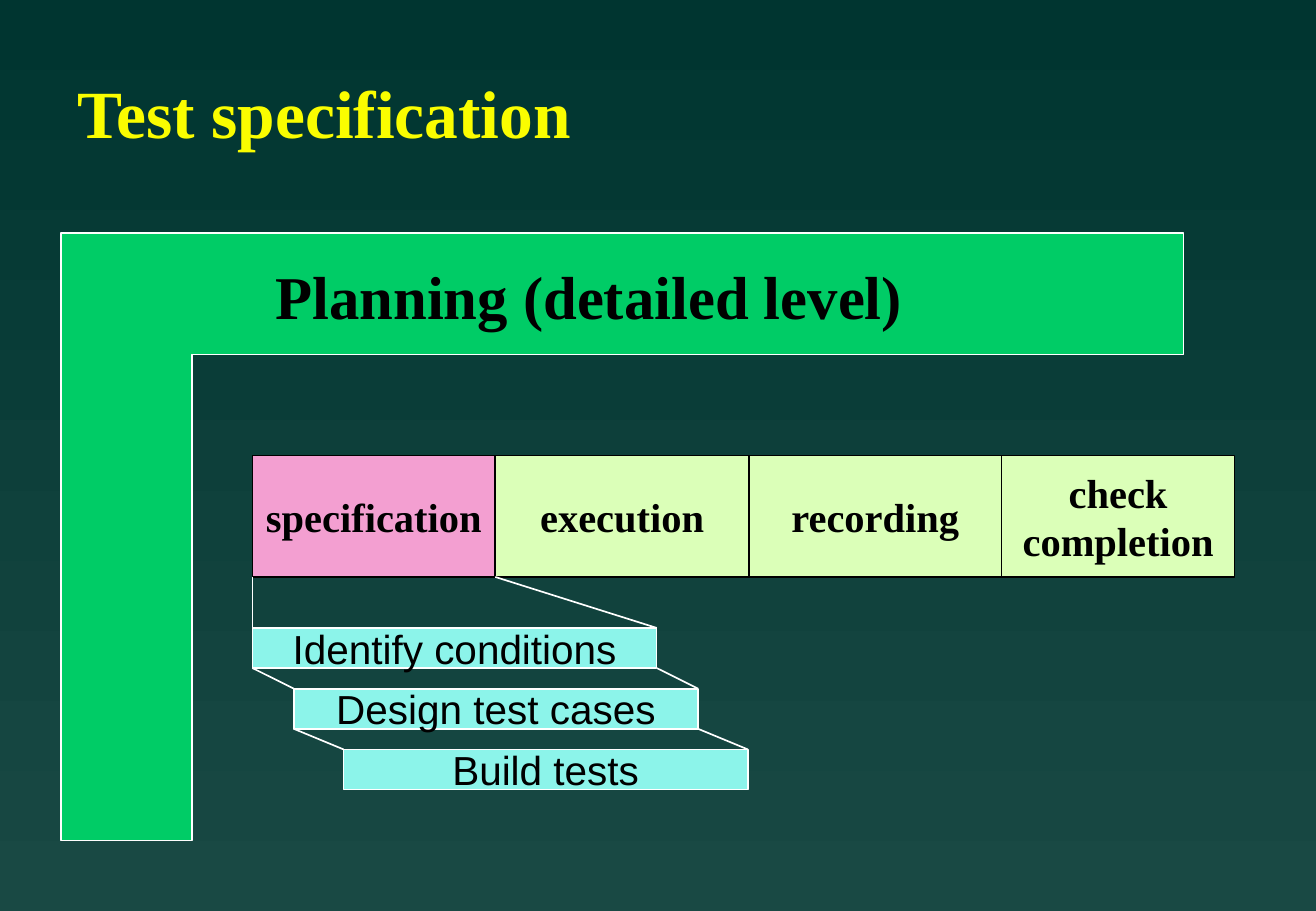
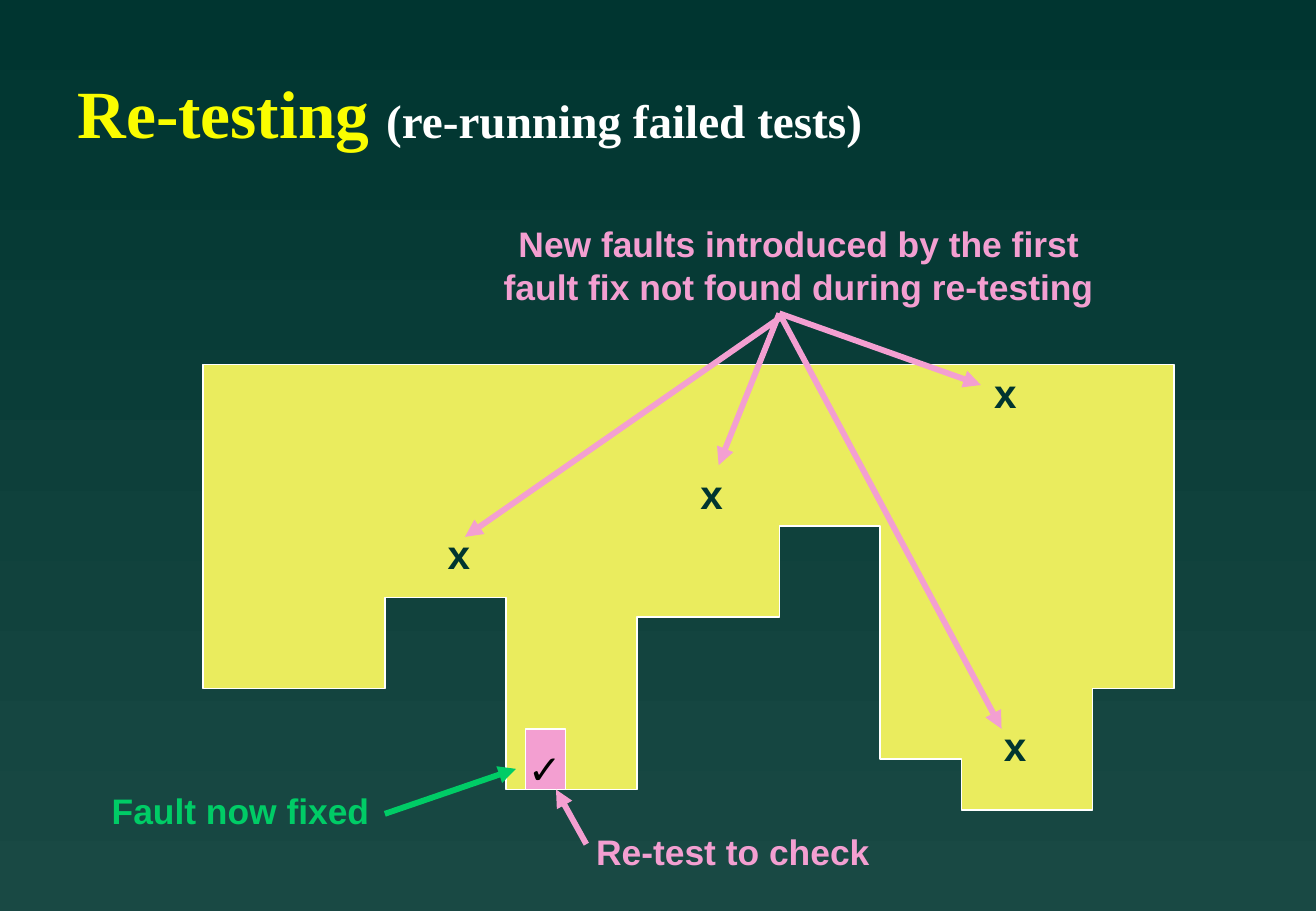
"""Build two slides on test specification and re-testing."""
from lxml import etree
from pptx import Presentation
from pptx.dml.color import RGBColor
from pptx.enum import shapes, text
from pptx.oxml import ns
from pptx.util import Inches, Pt

DARK = RGBColor(0x00, 0x35, 0x30)
TEAL = RGBColor(0x19, 0x49, 0x44)
TITLE = RGBColor(0xFA, 0xFD, 0x00)
WHITE = RGBColor(0xFF, 0xFF, 0xFF)
BLACK = RGBColor(0x00, 0x00, 0x00)
GREEN = RGBColor(0x00, 0xCC, 0x66)
PINK = RGBColor(0xF3, 0x9F, 0xD1)
LIME = RGBColor(0xDB, 0xFF, 0xB8)
AQUA = RGBColor(0x8C, 0xF4, 0xEA)
YELLOW = RGBColor(0xEA, 0xEC, 0x5E)
SERIF = "Times New Roman"
SANS = "Arial"
CENTER = text.PP_ALIGN.CENTER
MIDDLE = text.MSO_ANCHOR.MIDDLE


def set_background(prs):
    """Give the slide master its vertical gradient."""
    fill = prs.slide_master.background.fill
    fill.gradient()
    fill.gradient_angle = 270
    for stop, color in zip(fill.gradient_stops, (DARK, TEAL)):
        stop.color.rgb = color


def add_run(p, words, size, color, font=SANS, bold=True):
    """Append one formatted run to a paragraph."""
    r = p.add_run()
    r.text = words
    r.font.size = Pt(size)
    r.font.name = font
    r.font.bold = bold
    r.font.color.rgb = color


def write_lines(tf, lines, size, color, font=SANS, bold=True, align=None):
    """Write each line as a paragraph of a text frame."""
    for i, line in enumerate(lines):
        p = tf.add_paragraph() if i else tf.paragraphs[0]
        p.alignment = align
        add_run(p, line, size, color, font, bold)


def add_title(s, title, note=None):
    """Add the slide title with an optional smaller note."""
    tf = s.shapes.add_textbox(Inches(0.54), Inches(0.58), Inches(9.21), Inches(0.67)).text_frame
    tf.word_wrap = True
    tf.vertical_anchor = MIDDLE
    p = tf.paragraphs[0]
    add_run(p, title, 40, TITLE, SERIF)
    if note:
        add_run(p, note, 28, WHITE, SERIF)


def add_label(s, box, lines, size, color, font=SANS, align=None, inset=True):
    """Add a text box wide enough for its lines."""
    tf = s.shapes.add_textbox(*map(Inches, box)).text_frame
    tf.word_wrap = True
    if not inset:
        tf.margin_left = tf.margin_right = tf.margin_top = tf.margin_bottom = 0
    write_lines(tf, lines, size, color, font, align=align)


def style_shape(sp, fill, line):
    """Set a flat fill and a thin outline."""
    sp.shadow.inherit = False
    sp.fill.solid()
    sp.fill.fore_color.rgb = fill
    sp.line.color.rgb = line
    sp.line.width = Pt(1)


def add_box(s, box, fill, line, lines=(), font=SANS, bold=False):
    """Add a rectangle with centred text."""
    sp = s.shapes.add_shape(shapes.MSO_SHAPE.RECTANGLE, *map(Inches, box))
    style_shape(sp, fill, line)
    tf = sp.text_frame
    tf.word_wrap = False
    tf.vertical_anchor = MIDDLE
    write_lines(tf, lines, 24, BLACK, font, bold, CENTER)


def add_outline(s, points, fill):
    """Add a closed polygon from points in inches."""
    corners = [(Inches(x), Inches(y)) for x, y in points]
    builder = s.shapes.build_freeform(*corners[0])
    builder.add_line_segments(corners[1:], close=True)
    style_shape(builder.convert_to_shape(), fill, WHITE)


def add_line(s, start, end, color=WHITE, width=1, arrow=False):
    """Add a straight line, with an arrowhead at its end if asked."""
    ends = map(Inches, (*start, *end))
    sp = s.shapes.add_connector(shapes.MSO_CONNECTOR.STRAIGHT, *ends)
    sp.line.color.rgb = color
    sp.line.width = Pt(width)
    if arrow:
        etree.SubElement(sp.line._get_or_add_ln(), ns.qn("a:tailEnd"), type="triangle")
    etree.SubElement(sp._element.spPr, ns.qn("a:effectLst"))


def add_arrow(s, start, end, color):
    """Add a thick arrow."""
    add_line(s, start, end, color, 3.5, True)


def build_specification(s):
    """Draw the test process and the steps of specification."""
    add_title(s, "Test specification")

    left = 2.08
    phases = [
        (2, PINK, ["specification"]),
        (2.09, LIME, ["execution"]),
        (2.08, LIME, ["recording"]),
        (1.92, LIME, ["check", "completion"]),
    ]
    for width, fill, lines in phases:
        add_box(s, (left, 3.75, width, 1), fill, BLACK, lines, SERIF, True)
        left += width

    width, height = 3.33, 0.33
    above = (2.08, 4.08, 4.75)
    steps = [(2.08, "Identify conditions"), (2.42, "Design test cases"), (2.83, "Build tests")]
    for i, (left, step) in enumerate(steps):
        top = 5.17 + 0.5 * i
        right = left + width
        add_box(s, (left, top, width, height), AQUA, WHITE, [step])
        add_line(s, (above[0], above[2]), (left, top))
        add_line(s, (above[1], above[2]), (right, top))
        above = (left, right, top + height)

    add_outline(s, [(0.5, 1.92), (9.75, 1.92), (9.75, 2.92), (1.58, 2.92),
                    (1.58, 6.92), (0.5, 6.92)], GREEN)
    add_label(s, (2.17, 2.08, 5.8, 0.7), ["Planning (detailed level)"], 36, BLACK, SERIF)


def build_retesting(s):
    """Draw the system with its fixed fault and its new faults."""
    add_outline(s, [(1.67, 3), (9.67, 3), (9.67, 5.67), (9, 5.67), (9, 6.67), (7.92, 6.67),
                    (7.92, 6.25), (7.25, 6.25), (7.25, 4.33), (6.42, 4.33), (6.42, 5.08),
                    (5.25, 5.08), (5.25, 6.5), (4.17, 6.5), (4.17, 4.92), (3.17, 4.92),
                    (3.17, 5.67), (1.67, 5.67)], YELLOW)
    add_title(s, "Re-testing ", "(re-running failed tests)")

    for left, top in [(5.67, 3.81), (8.09, 2.98), (3.59, 4.31), (8.17, 5.89)]:
        add_label(s, (left, top, 0.4, 0.5), ["x"], 24, DARK)
    add_label(s, (3.98, 1.83, 5.2, 0.7),
              ["New faults introduced by the first", "fault fix not found during re-testing"],
              21, PINK, align=CENTER, inset=False)
    add_arrow(s, (6.42, 2.62), (3.83, 4.42), PINK)
    for target in [(5.92, 3.83), (8.25, 6), (8.08, 3.17)]:
        add_arrow(s, (6.42, 2.58), target, PINK)

    add_label(s, (4.91, 6.83, 2.5, 0.35), ["Re-test to check"], 21, PINK, inset=False)
    add_box(s, (4.33, 6, 0.33, 0.5), PINK, WHITE)
    add_arrow(s, (4.83, 6.95), (4.58, 6.5), PINK)
    add_arrow(s, (3.17, 6.7), (4.25, 6.33), GREEN)
    add_label(s, (0.92, 6.5, 2.24, 0.35), ["Fault now fixed"], 21, GREEN, inset=False)
    add_label(s, (4.25, 6.08, 0.46, 0.5), ["✓"], 24, BLACK)


def main():
    """Build and save the presentation."""
    prs = Presentation()
    prs.slide_width = Inches(10.84)
    prs.slide_height = Inches(7.5)
    set_background(prs)
    for build in (build_specification, build_retesting):
        build(prs.slides.add_slide(prs.slide_layouts[6]))
    prs.save("out.pptx")


if __name__ == "__main__":
    main()
